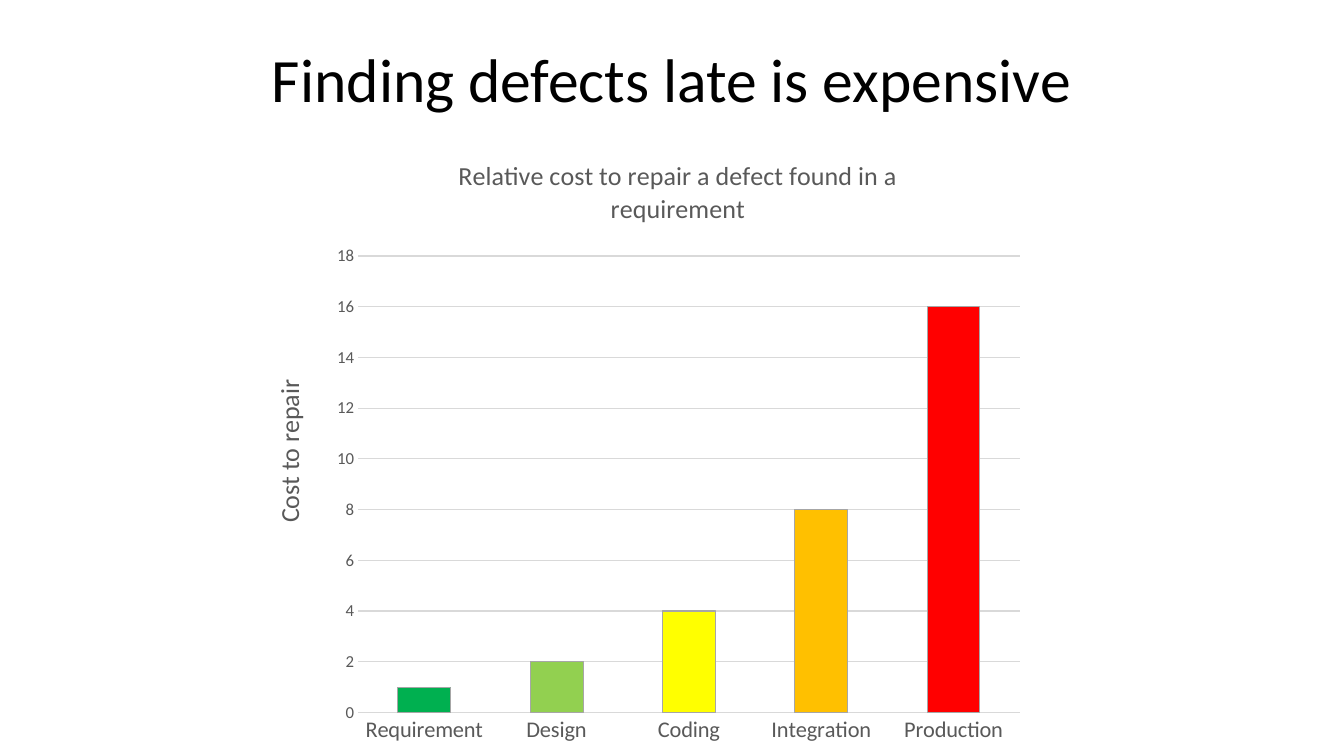
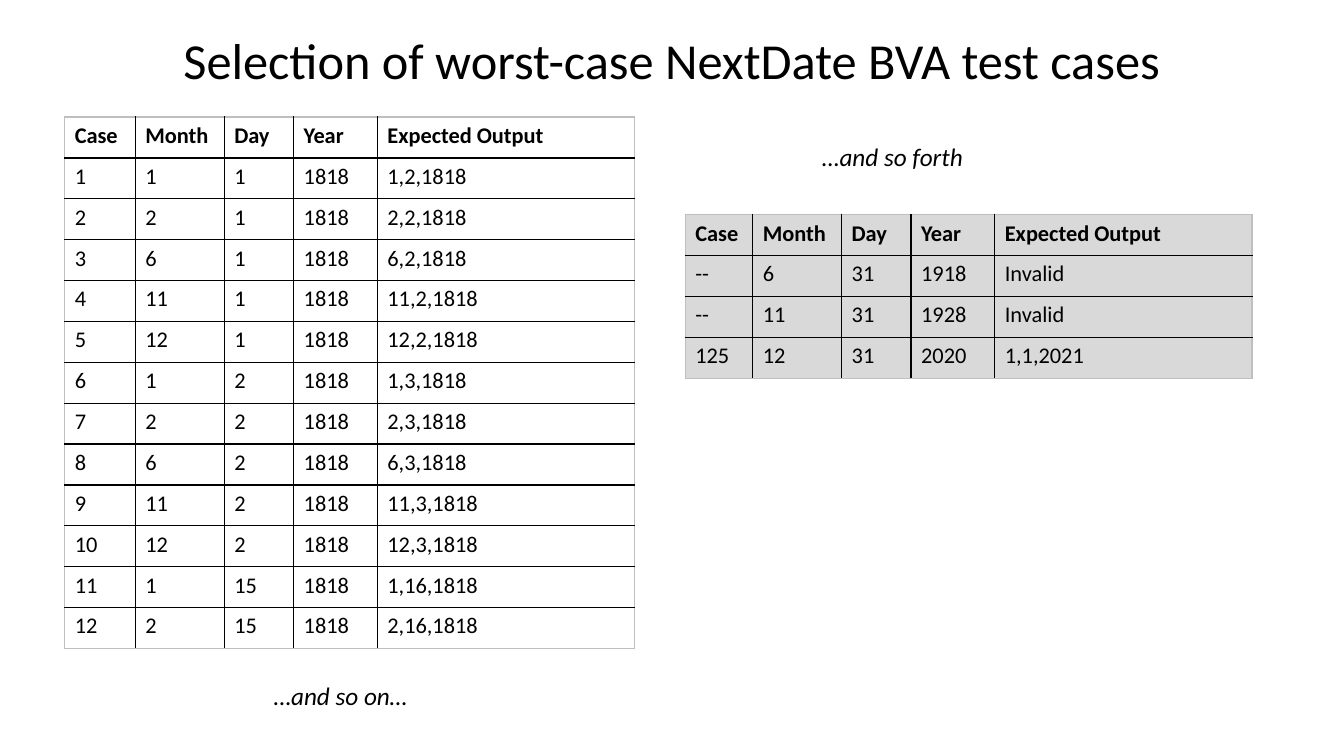
from dataclasses import dataclass

from lxml.etree import SubElement
from pptx import Presentation
from pptx.chart.data import CategoryChartData
from pptx.dml.color import RGBColor
from pptx.enum.chart import XL_CHART_TYPE, XL_TICK_MARK
from pptx.enum.shapes import MSO_SHAPE
from pptx.enum.text import MSO_ANCHOR, PP_ALIGN
from pptx.oxml import parse_xml
from pptx.oxml.ns import nsdecls, qn
from pptx.util import Cm, Pt

# Content
COST_TITLE = "Finding defects late is expensive"
CHART_TITLE = "Relative cost to repair a defect found in a requirement"
AXIS_LABEL = "Cost to repair"
PHASES = [  # phase, relative cost, bar colour
    ("Requirement", 1, "00B050"),
    ("Design", 2, "92D050"),
    ("Coding", 4, "FFFF00"),
    ("Integration", 8, "FFC000"),
    ("Production", 16, "FF0000"),
]
SERIES_COLORS = {"Series 1": "4472C4", "Series 2": "ED7D31", "Series 3": "A5A5A5"}

CASES_TITLE = "Selection of worst-case NextDate BVA test cases"
HEADER = ("Case", "Month", "Day", "Year", "Expected Output")
FIRST_CASES = [
    ("1", "1", "1", "1818", "1,2,1818"),
    ("2", "2", "1", "1818", "2,2,1818"),
    ("3", "6", "1", "1818", "6,2,1818"),
    ("4", "11", "1", "1818", "11,2,1818"),
    ("5", "12", "1", "1818", "12,2,1818"),
    ("6", "1", "2", "1818", "1,3,1818"),
    ("7", "2", "2", "1818", "2,3,1818"),
    ("8", "6", "2", "1818", "6,3,1818"),
    ("9", "11", "2", "1818", "11,3,1818"),
    ("10", "12", "2", "1818", "12,3,1818"),
    ("11", "1", "15", "1818", "1,16,1818"),
    ("12", "2", "15", "1818", "2,16,1818"),
]
LAST_CASES = [
    ("--", "6", "31", "1918", "Invalid"),
    ("--", "11", "31", "1928", "Invalid"),
    ("125", "12", "31", "2020", "1,1,2021"),
]
NOTES = [  # text, left, top, width
    ("…and so on…", 6.65, 17.02, 3.96),
    ("…and so forth", 20.47, 3.43, 4.09),
]


@dataclass(frozen=True)
class Theme:
    font: str = "Calibri"
    black: str = "000000"
    white: str = "FFFFFF"
    gray: str = "595959"
    grid: str = "D9D9D9"
    outline: str = "A6A6A6"
    table_edge: str = "BFBFBF"
    title: float = 44
    small_title: float = 36
    chart_title: float = 18.6
    note: float = 18
    body: float = 16
    scale: float = 12


THEME = Theme()
ROW_HEIGHT = 1.03
COLUMN_WIDTHS = (2.24, 1.75, 2.11, 6.48)  # all but the first column


# Text
def style_font(font, size, color=THEME.black, bold=False, italic=False):
    font.name = THEME.font
    font.size = Pt(size)
    font.color.rgb = RGBColor.from_string(color)
    font.bold = bold
    font.italic = italic


def write(frame, text, align=PP_ALIGN.LEFT, spacing=None, **font_format):
    para = frame.paragraphs[0]
    para.alignment = align
    if spacing:
        para.line_spacing = spacing
    span = para.add_run()
    span.text = text
    style_font(span.font, **font_format)


def add_text(page, text, left, top, width, height, anchor=MSO_ANCHOR.TOP,
             wrap=True, **text_format):
    box = page.shapes.add_textbox(Cm(left), Cm(top), Cm(width), Cm(height))
    box.text_frame.word_wrap = wrap
    box.text_frame.vertical_anchor = anchor
    write(box.text_frame, text, **text_format)


def add_page(deck, title, size, title_top, title_height):
    page = deck.slides.add_slide(deck.slide_layouts[6])
    add_text(page, title, 2.33, title_top, 29.21, title_height,
             anchor=MSO_ANCHOR.MIDDLE, align=PP_ALIGN.CENTER, spacing=0.9, size=size)
    return page


# Chart
def place_plot(chart, **fractions):
    plot_area = chart.plots[0]._element.getparent()
    for layout in plot_area.findall(qn("c:layout")):
        plot_area.remove(layout)
    layout = parse_xml(f"<c:layout {nsdecls('c')}/>")
    manual = SubElement(layout, qn("c:manualLayout"))
    settings = {"layoutTarget": "inner", "xMode": "edge", "yMode": "edge", **fractions}
    for name, value in settings.items():
        SubElement(manual, qn(f"c:{name}")).set("val", str(value))
    plot_area.insert(0, layout)


def style_axis(axis, size):
    axis.major_tick_mark = axis.minor_tick_mark = XL_TICK_MARK.NONE
    axis.format.line.fill.background()
    style_font(axis.tick_labels.font, size, THEME.gray)


def add_cost_chart(page):
    phases, costs, bar_colors = zip(*PHASES)
    data = CategoryChartData()
    data.categories = phases
    for name in SERIES_COLORS:
        data.add_series(name, costs if name == "Series 1" else [None] * len(phases))
    chart = page.shapes.add_chart(XL_CHART_TYPE.COLUMN_STACKED, Cm(8.13), Cm(3.4),
                                  Cm(17.91), Cm(15.65), data).chart
    style_font(chart.font, 10)
    chart.has_legend = False
    chart.has_title = True
    write(chart.chart_title.text_frame, CHART_TITLE, align=PP_ALIGN.CENTER,
          size=THEME.chart_title, color=THEME.gray)
    chart.chart_title.include_in_layout = False
    place_plot(chart, x=0.05, y=0.195, w=0.931, h=0.735)

    style_axis(chart.category_axis, THEME.body)
    scale = chart.value_axis
    style_axis(scale, THEME.scale)
    scale.minimum_scale, scale.maximum_scale, scale.major_unit = 0, 18, 2
    scale.has_major_gridlines = True
    scale.major_gridlines.format.line.width = Pt(0.75)
    scale.major_gridlines.format.line.color.rgb = RGBColor.from_string(THEME.grid)

    plot = chart.plots[0]
    plot.gap_width, plot.overlap, plot.vary_by_categories = 150, 100, False
    for series, color in zip(plot.series, SERIES_COLORS.values()):
        series.format.fill.solid()
        series.format.fill.fore_color.rgb = RGBColor.from_string(color)
    for index, color in enumerate(bar_colors):
        bar = plot.series[0].points[index].format
        bar.fill.solid()
        bar.fill.fore_color.rgb = RGBColor.from_string(color)
        bar.line.width = Pt(0.75)
        bar.line.color.rgb = RGBColor.from_string(THEME.outline)


def add_axis_label(page):
    label = page.shapes.add_shape(MSO_SHAPE.RECTANGLE, Cm(0.86), Cm(10.85),
                                  Cm(12.83), Cm(1.04))
    label.rotation = 270
    label.shadow.inherit = False
    label.fill.solid()
    label.fill.fore_color.rgb = RGBColor.from_string(THEME.white)
    label.line.fill.background()
    label.text_frame.word_wrap = True
    write(label.text_frame, AXIS_LABEL, align=PP_ALIGN.CENTER,
          size=THEME.chart_title, color=THEME.gray)


# Tables
def set_borders(cell, outer_sides):
    properties = cell._tc.get_or_add_tcPr()
    for index, side in enumerate("LRTB"):
        color = THEME.table_edge if side in outer_sides else THEME.black
        properties.insert(index, parse_xml(
            f'<a:ln{side} {nsdecls("a")} w="{Pt(1)}"><a:solidFill>'
            f'<a:srgbClr val="{color}"/></a:solidFill></a:ln{side}>'))


def add_case_table(page, cases, left, top, first_width, fill):
    rows = [HEADER, *cases]
    widths = (first_width, *COLUMN_WIDTHS)
    table = page.shapes.add_table(len(rows), len(widths), Cm(left), Cm(top),
                                  Cm(sum(widths)), Cm(ROW_HEIGHT * len(rows))).table
    table.first_row = table.horz_banding = False
    for column, width in zip(table.columns, widths):
        column.width = Cm(width)
    for r, values in enumerate(rows):
        table.rows[r].height = Cm(ROW_HEIGHT)
        for c, value in enumerate(values):
            cell = table.cell(r, c)
            cell.fill.solid()
            cell.fill.fore_color.rgb = RGBColor.from_string(fill)
            edges = {"L": c == 0, "R": c == len(widths) - 1,
                     "T": r == 0, "B": r == len(rows) - 1}
            set_borders(cell, [side for side, is_outer in edges.items() if is_outer])
            write(cell.text_frame, value, size=THEME.body, bold=r == 0)


def main():
    deck = Presentation()
    deck.slide_width, deck.slide_height = Cm(33.87), Cm(19.05)

    # Cost of late defects
    page = add_page(deck, COST_TITLE, THEME.title, 0.23, 3.68)
    add_cost_chart(page)
    add_axis_label(page)

    # Worst-case test cases
    page = add_page(deck, CASES_TITLE, THEME.small_title, 0, 3.18)
    add_case_table(page, FIRST_CASES, 1.63, 2.95, 1.78, THEME.white)
    add_case_table(page, LAST_CASES, 17.27, 5.41, 1.7, THEME.grid)
    for text, left, top, width in NOTES:
        add_text(page, text, left, top, width, 1.02, wrap=False,
                 size=THEME.note, italic=True)

    deck.save("out.pptx")


if __name__ == "__main__":
    main()
